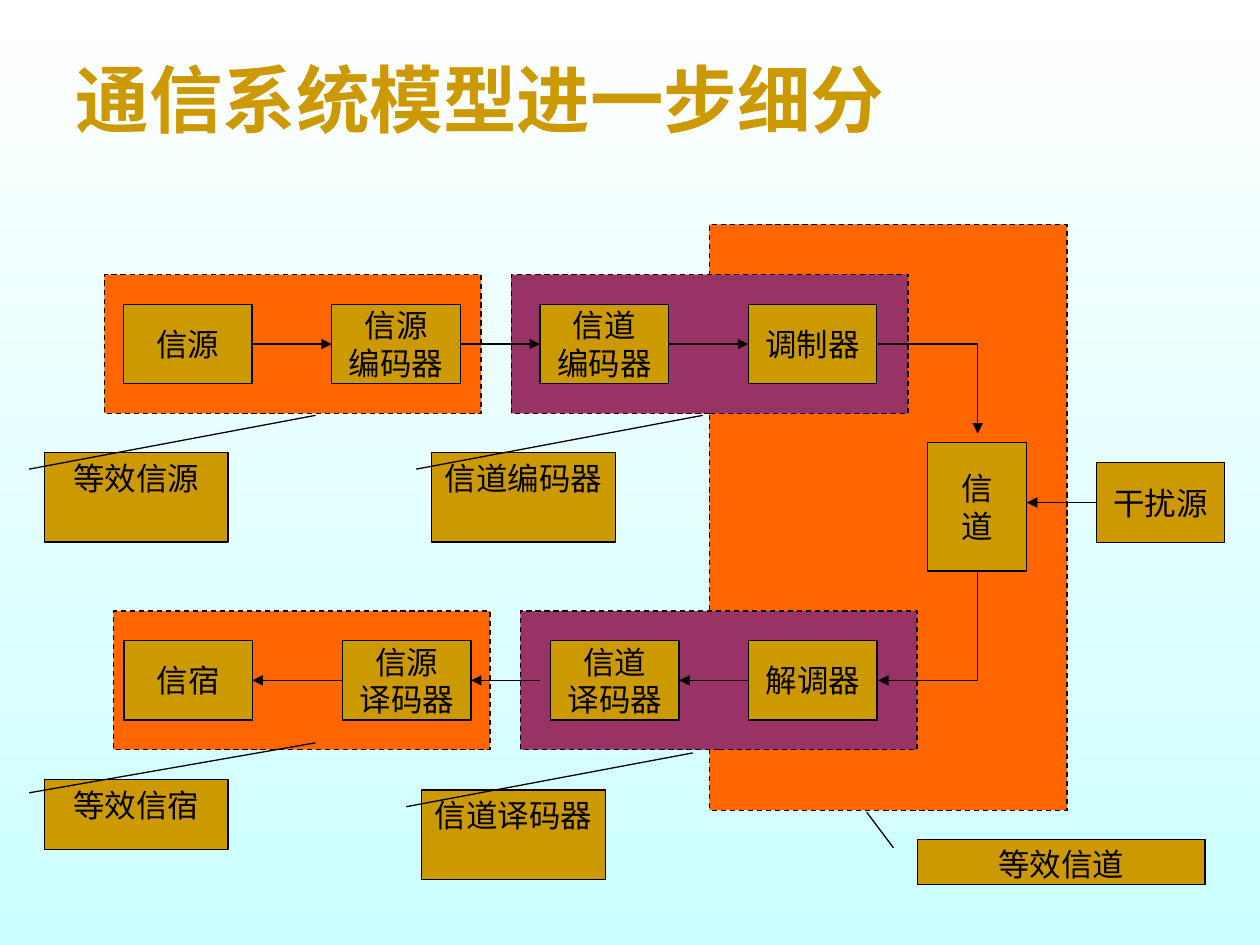
from dataclasses import dataclass

from lxml.etree import SubElement
from pptx import Presentation
from pptx.dml.color import RGBColor
from pptx.enum.dml import MSO_LINE
from pptx.enum.shapes import MSO_CONNECTOR, MSO_SHAPE
from pptx.enum.text import MSO_ANCHOR, MSO_AUTO_SIZE, PP_ALIGN
from pptx.oxml.ns import qn
from pptx.util import Pt


@dataclass(frozen=True)
class Theme:
    """Colours, fonts and sizes of the slide."""
    gold: str = "CC9900"
    orange: str = "FF6600"
    purple: str = "993366"
    ink: str = "000000"
    background: tuple = ("FFFFFF", "CCFFFF")
    title_font: str = "Karla"
    body_font: str = "Arial"
    title_size: float = 42
    body_size: float = 18
    line_width: float = 0.75


@dataclass(frozen=True)
class Box:
    """A rectangle in points."""
    left: float
    top: float
    width: float
    height: float

    def inside(self, left, top, width, height):
        """Return a box placed relative to this one."""
        return Box(self.left + left, self.top + top, width, height)

    def place(self):
        """Return the rectangle as lengths."""
        return Pt(self.left), Pt(self.top), Pt(self.width), Pt(self.height)


THEME = Theme()
BLOCK_WIDTH, BLOCK_HEIGHT = 73.4, 45.4


def write_text(frame, text, *, size=THEME.body_size, font=THEME.body_font, color=THEME.ink,
               bold=False, align=PP_ALIGN.CENTER, anchor=MSO_ANCHOR.MIDDLE, wrap=False,
               spacing=1.0):
    """Fill a text frame with formatted paragraphs, one for each line of text."""
    frame.text = text
    frame.auto_size = MSO_AUTO_SIZE.NONE
    frame.word_wrap = wrap
    frame.vertical_anchor = anchor
    for paragraph in frame.paragraphs:
        paragraph.alignment = align
        paragraph.line_spacing = spacing
        paragraph.font.size = Pt(size)
        paragraph.font.name = font
        paragraph.font.bold = bold
        paragraph.font.color.rgb = RGBColor.from_string(color)


def add_block(slide, box, text="", *, fill=THEME.gold, preset=MSO_SHAPE.RECTANGLE,
              dash=None, **text_format):
    """Add a filled and outlined shape with optional text."""
    shape = slide.shapes.add_shape(preset, *box.place())
    shape.shadow.inherit = False
    shape.fill.solid()
    shape.fill.fore_color.rgb = RGBColor.from_string(fill)
    shape.line.color.rgb = RGBColor.from_string(THEME.ink)
    shape.line.width = Pt(THEME.line_width)
    if dash:
        shape.line.dash_style = dash
    if text:
        write_text(shape.text_frame, text, **text_format)
    return shape


def add_line(slide, box, start, end, arrow=True):
    """Add a straight line between two points relative to a box."""
    points = [Pt(value) for left, top in (start, end)
              for value in (box.left + left, box.top + top)]
    connector = slide.shapes.add_connector(MSO_CONNECTOR.STRAIGHT, *points)
    connector.line.color.rgb = RGBColor.from_string(THEME.ink)
    connector.line.width = Pt(THEME.line_width)
    properties = connector._element.spPr
    if arrow:
        SubElement(properties.find(qn("a:ln")), qn("a:tailEnd"), type="triangle")
    SubElement(properties, qn("a:effectLst"))


def draw_background(slide):
    """Fill the background with a gradient from top to bottom."""
    fill = slide.background.fill
    fill.gradient()
    fill.gradient_angle = 270
    for stop, position, color in zip(fill.gradient_stops, (0, 1), THEME.background):
        stop.position = position
        stop.color.rgb = RGBColor.from_string(color)


def draw_title(slide, box, text):
    """Place and format the title placeholder."""
    title = slide.shapes.title
    title.left, title.top, title.width, title.height = box.place()
    write_text(title.text_frame, text, size=THEME.title_size, font=THEME.title_font,
               color=THEME.gold, bold=True, align=PP_ALIGN.LEFT,
               anchor=MSO_ANCHOR.BOTTOM, wrap=True, spacing=0.85)


def draw_lane(slide, box, labels, offsets, arrows):
    """Draw two dashed zones with a row of blocks and the arrows between them."""
    for left, width, fill in ((232.5, 226.8, THEME.purple), (0, 215.3, THEME.orange)):
        add_block(slide, box.inside(left, 0, width, box.height), fill=fill, dash=MSO_LINE.DASH)
    block_top = (box.height - BLOCK_HEIGHT) / 2
    for label, left in zip(labels, offsets):
        add_block(slide, box.inside(left, block_top, BLOCK_WIDTH, BLOCK_HEIGHT), label)
    for start, end in arrows:
        add_line(slide, box, (start, box.height / 2), (end, box.height / 2))


def draw_channel_zone(slide, box):
    """Draw the dashed zone of the equivalent channel."""
    add_block(slide, box, fill=THEME.orange, dash=MSO_LINE.DASH)


def draw_channel(slide, box):
    """Draw the channel, the noise source and the lines that join both lanes."""
    lane_right, trunk, noise_left, noise_middle = 96.4, 153.3, 221, 159
    upper, lower = 68.4, 260.6
    add_block(slide, box.inside(124.6, 124.6, 56.8, 73.6), "信\n道")
    add_block(slide, box.inside(noise_left, noise_middle - BLOCK_HEIGHT / 2,
                                BLOCK_WIDTH, BLOCK_HEIGHT), "干扰源")
    add_line(slide, box, (lane_right, upper), (trunk, upper), arrow=False)
    add_line(slide, box, (trunk, upper), (trunk, 119.5))
    add_line(slide, box, (trunk, 198.5), (trunk, lower), arrow=False)
    add_line(slide, box, (trunk, lower), (lane_right, lower))
    add_line(slide, box, (noise_left, noise_middle), (181.4, noise_middle))


def draw_callout(slide, box, text, target_top, target_left=1.476):
    """Draw a callout whose leader ends at a fraction of its box."""
    callout = add_block(slide, box, text, preset=MSO_SHAPE.LINE_CALLOUT_1,
                        anchor=MSO_ANCHOR.TOP, wrap=True)
    for index, value in enumerate((0.188, -0.083, target_top, target_left)):
        callout.adjustments[index] = value


def build_slide(presentation):
    """Build the slide of the communication system model."""
    slide = presentation.slides.add_slide(presentation.slide_layouts[5])
    draw_background(slide)
    draw_title(slide, Box(36, 9.4, 594, 75.6), "通信系统模型进一步细分")

    channel = Box(405.4, 128.2, 204.4, 334.8)
    draw_channel_zone(slide, channel)
    encoder_offsets = [11 + 119 * index for index in range(4)]
    draw_lane(slide, Box(59.6, 157, 459.3, 79.2),
              ("信源", "信源\n编码器", "信道\n编码器", "调制器"), encoder_offsets,
              [(left + BLOCK_WIDTH, following)
               for left, following in zip(encoder_offsets, encoder_offsets[1:])])
    decoder_offsets = (6, 131, 249.9, 363)
    draw_lane(slide, Box(64.8, 349.2, 459.3, 79.2),
              ("信宿", "信源\n译码器", "信道\n译码器", "解调器"), decoder_offsets,
              [(start, left + BLOCK_WIDTH)
               for start, left in zip((131, 244, 363), decoder_offsets)])
    draw_channel(slide, channel)

    draw_callout(slide, Box(524.2, 479.6, 164.4, 26), "等效信道", -0.596, -0.176)
    for text, left, top, height, target_top in (
            ("等效信源", 25.4, 258.5, 51.2, -0.413),
            ("等效信宿", 25.4, 445.6, 39.8, -0.531),
            ("信道编码器", 246.6, 258.5, 51.2, -0.413),
            ("信道译码器", 240.9, 451.4, 51.2, -0.413)):
        draw_callout(slide, Box(left, top, 105, height), text, target_top)


def main():
    """Create and save the presentation."""
    presentation = Presentation()
    presentation.slide_width, presentation.slide_height = Pt(720), Pt(540)
    build_slide(presentation)
    presentation.save("out.pptx")


if __name__ == "__main__":
    main()
